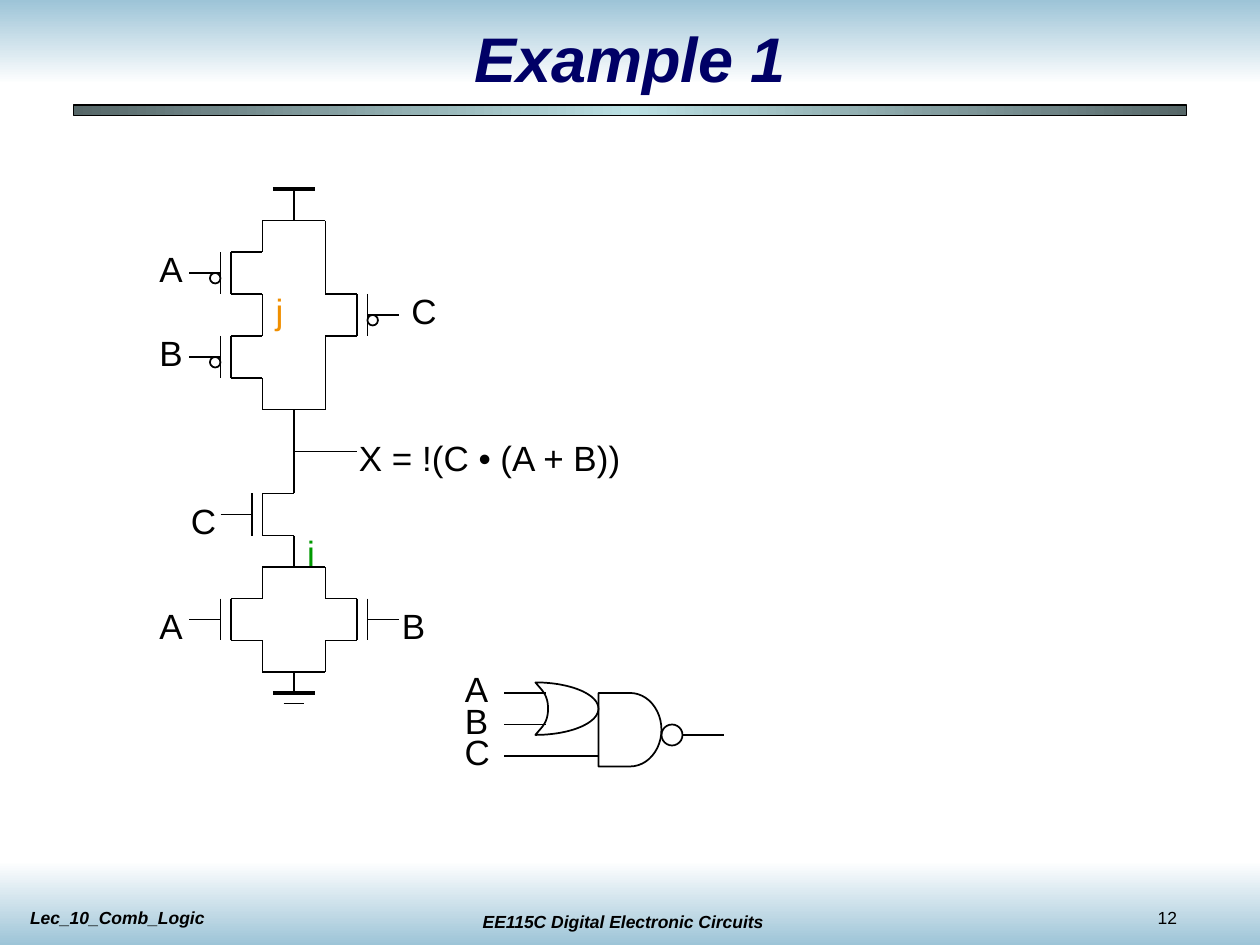
"""Build the CMOS logic example slide on a grid of twelfths of an inch."""
from copy import deepcopy
from dataclasses import dataclass

from lxml import etree
from pptx import Presentation
from pptx.dml.color import RGBColor
from pptx.enum.shapes import MSO_CONNECTOR, MSO_SHAPE
from pptx.enum.text import MSO_ANCHOR, MSO_AUTO_SIZE, PP_ALIGN
from pptx.oxml.ns import qn
from pptx.util import Cm, Pt

STRAIGHT = MSO_CONNECTOR.STRAIGHT
RECTANGLE, OVAL, DELAY = MSO_SHAPE.RECTANGLE, MSO_SHAPE.OVAL, MSO_SHAPE.FLOWCHART_DELAY
TOP, MIDDLE = MSO_ANCHOR.TOP, MSO_ANCHOR.MIDDLE
GROW, FIXED = MSO_AUTO_SIZE.SHAPE_TO_FIT_TEXT, MSO_AUTO_SIZE.NONE
LEFT, CENTER = PP_ALIGN.LEFT, PP_ALIGN.CENTER


@dataclass(frozen=True)
class Theme:
    font: str = "Arial"
    ink: str = "000000"
    title: str = "000066"
    node_i: str = "009900"
    node_j: str = "F08F00"
    sky: str = "9DC4D7"
    white: str = "FFFFFF"
    slate: str = "566768"
    aqua: str = "BBE0E3"
    title_size: float = 36
    label_size: float = 20
    footer_size: float = 10
    wire: float = 1
    rail: float = 2.25
    border: float = 0.75


THEME = Theme()
LABEL_WIDTHS = {"A": 4.56, "B": 4.56, "C": 4.8, "i": 3.12, "j": 3.12}


def grid(*steps):
    return [Cm(step * 2.54 / 12) for step in steps]


def apply(target, values):
    for name, value in values.items():
        setattr(target, name, value)


def set_line(line, width):
    line.color.rgb = RGBColor.from_string(THEME.ink)
    line.width = Pt(width)


def add_text(shapes, text, box, size, color=THEME.ink, align=LEFT,
             anchor=TOP, fit=GROW, wrap=True, slanted=False):
    frame = shapes.add_textbox(*grid(*box)).text_frame
    apply(frame, {"word_wrap": wrap, "auto_size": fit, "vertical_anchor": anchor})
    paragraph = frame.paragraphs[0]
    paragraph.alignment = align
    run = paragraph.add_run()
    run.text = text
    apply(run.font, {"name": THEME.font, "size": Pt(size),
                     "bold": slanted, "italic": slanted})
    run.font.color.rgb = RGBColor.from_string(color)


def add_label(shapes, text, x, y, color=THEME.ink):
    width = LABEL_WIDTHS.get(text, 27.48)
    add_text(shapes, text, (x, y, width, 5.28), THEME.label_size, color, wrap=False)


def add_wires(shapes, *wires, width=THEME.wire):
    for ends in wires:
        wire = shapes.add_connector(STRAIGHT, *grid(*ends))
        set_line(wire.line, width)
        etree.SubElement(wire._element.spPr, qn("a:effectLst"))


def add_outline(shapes, preset, *box):
    outline = shapes.add_shape(preset, *grid(*box))
    outline.shadow.inherit = False
    outline.fill.background()
    set_line(outline.line, THEME.wire)


def add_gradient(shapes, box, colors, angle, border=None):
    band = shapes.add_shape(RECTANGLE, *grid(*box))
    band.shadow.inherit = False
    band.fill.gradient()
    band.fill.gradient_angle = angle
    stop_list = band._element.spPr.find(qn("a:gradFill")).find(qn("a:gsLst"))
    for _ in colors[2:]:
        stop_list.append(deepcopy(stop_list[0]))
    for index, (stop, color) in enumerate(zip(band.fill.gradient_stops, colors)):
        stop.color.rgb = RGBColor.from_string(color)
        stop.position = index / (len(colors) - 1)
    if border:
        set_line(band.line, border)
    else:
        band.line.fill.background()


def add_transistor(shapes, x, top, side, inverted=False):
    """Draw a transistor whose gate points left (side -1) or right (side 1)."""
    channel, gate, lead = (x + side * reach for reach in (3, 4, 7))
    middle, bottom = top + 2, top + 4
    add_wires(shapes,
              (channel, top, x, top), (channel, top, channel, bottom),
              (channel, bottom, x, bottom), (gate, top, gate, bottom),
              (x, bottom, x, bottom + 3), (lead, middle, gate, middle),
              (x, top - 3, x, top))
    if inverted:
        add_outline(shapes, OVAL, min(gate, gate + side), middle, 1, 1)


def bezier(start, pull_a, pull_b, end, steps=24):
    for step in range(steps + 1):
        t = step / steps
        weights = ((1 - t) ** 3, 3 * t * (1 - t) ** 2, 3 * t * t * (1 - t), t ** 3)
        yield tuple(sum(w * point[axis] for w, point in
                        zip(weights, (start, pull_a, pull_b, end))) for axis in (0, 1))


def add_or_gate(shapes, x, y):
    back = list(bezier((0, -2.5), (0.6, -1.75), (1.2, -1.35), (1.2, 0)))
    nose = list(bezier((0, -2.5), (3.25, -2.5), (6, -1.4), (6, 0)))
    mirrored_back, mirrored_nose = ([(px, -py) for px, py in curve]
                                    for curve in (back, nose))
    outline = back + mirrored_back[::-1] + mirrored_nose + nose[::-1]
    points = [tuple(grid(x + px, y + py)) for px, py in outline]
    builder = shapes.build_freeform(*points[0])
    builder.add_line_segments(points[1:], close=True)
    gate = builder.convert_to_shape()
    gate.shadow.inherit = False
    gate.fill.background()
    set_line(gate.line, THEME.wire)


def add_frame(shapes):
    add_gradient(shapes, (0, 0, 120, 8), (THEME.sky, THEME.white), 270)
    add_gradient(shapes, (0, 82, 120, 8), (THEME.white, THEME.sky), 270)
    add_text(shapes, "EE115C Digital Electronic Circuits", (42.36, 86.16, 33.96, 3.24),
             THEME.footer_size, align=CENTER, slanted=True)
    add_text(shapes, "12", (109.08, 85.8, 9.96, 3.24), THEME.footer_size, wrap=False)
    add_text(shapes, "Lec_10_Comb_Logic", (1.68, 85.8, 33.96, 3.24),
             THEME.footer_size, slanted=True)
    add_gradient(shapes, (7, 10, 106, 1), (THEME.slate, THEME.aqua, THEME.slate),
                 180, THEME.border)
    add_text(shapes, "Example 1", (9, 2, 102, 7), THEME.title_size, THEME.title,
             CENTER, MIDDLE, FIXED, slanted=True)


def add_pull_down(shapes):
    add_label(shapes, "C", 17, 47)
    for x, top, side in ((25, 57, -1), (31, 57, 1), (28, 47, -1)):
        add_transistor(shapes, x, top, side)
    add_wires(shapes, (25, 64, 31, 64), (25, 54, 31, 54),
              (27, 67, 29, 67), (28, 64, 28, 66))
    add_wires(shapes, (26, 66, 30, 66), width=THEME.rail)
    add_label(shapes, "A", 14, 57)
    add_label(shapes, "B", 37.08, 57)
    add_label(shapes, "i", 28.08, 50, THEME.node_i)


def add_pull_up(shapes):
    for x, top, side in ((25, 24, -1), (25, 32, -1), (31, 28, 1)):
        add_transistor(shapes, x, top, side, inverted=True)
    add_wires(shapes, (25, 39, 31, 39), (31, 34, 31, 39), (31, 21, 31, 26),
              (25, 21, 31, 21), (28, 18, 28, 21), (28, 39, 28, 44))
    add_wires(shapes, (26, 18, 30, 18), width=THEME.rail)
    add_label(shapes, "B", 14, 31)
    add_label(shapes, "A", 14, 23)
    add_label(shapes, "C", 38, 27)
    add_label(shapes, "j", 25.08, 27, THEME.node_j)


def add_gate_symbol(shapes):
    for row, name in enumerate("ABC"):
        add_label(shapes, name, 43.08, 63 + 3 * row)
    add_outline(shapes, DELAY, 57, 66, 6, 7)
    add_or_gate(shapes, 51, 67.5)
    add_wires(shapes, (48, 66, 52, 66), (48, 69, 52, 69),
              (48, 72, 57, 72), (65, 70, 69, 70))
    add_outline(shapes, OVAL, 63, 69, 2, 2)


def main():
    deck = Presentation()
    deck.slide_width, deck.slide_height = grid(120, 90)
    shapes = deck.slides.add_slide(deck.slide_layouts[6]).shapes
    add_frame(shapes)
    add_wires(shapes, (28, 43, 34, 43))
    add_label(shapes, "X = !(C • (A + B))", 33, 41)
    add_pull_down(shapes.add_group_shape().shapes)
    add_pull_up(shapes.add_group_shape().shapes)
    add_gate_symbol(shapes)
    deck.save("out.pptx")


if __name__ == "__main__":
    main()
